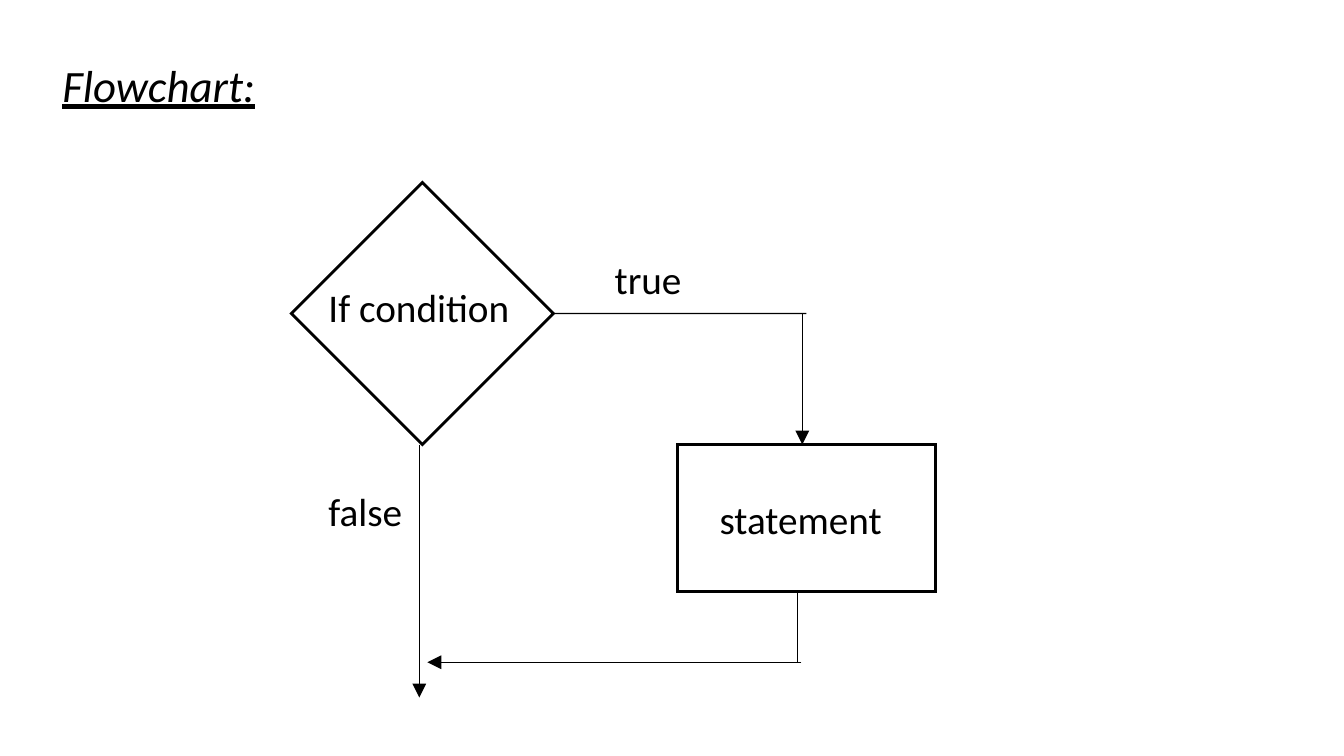
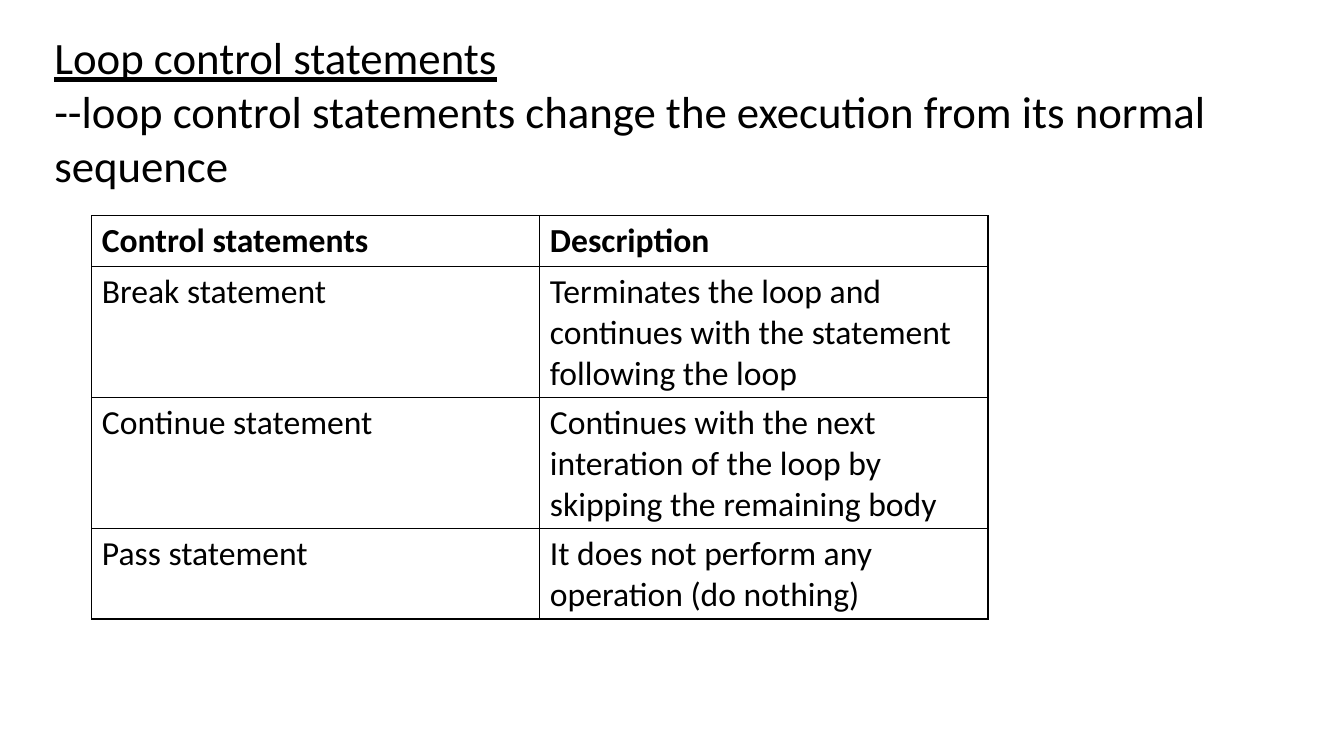
from dataclasses import dataclass
from typing import Any

from lxml import etree
from pptx import Presentation
from pptx import util as u
from pptx.dml.color import RGBColor
from pptx.enum import shapes, text
from pptx.oxml.ns import qn

SLIDE_WIDTH, SLIDE_HEIGHT = u.Inches(13.33), u.Inches(7.5)
FONT, INK = "Calibri", "000000"
TITLE: dict[str, Any] = {"size": u.Pt(32)}
LABEL: dict[str, Any] = {"size": u.Pt(28)}
CELL: dict[str, Any] = {"size": u.Pt(24)}


@dataclass(frozen=True)
class Box:
    """A frame on a grid of 100 columns by 100 rows over the slide."""
    left: float
    top: float
    width: float
    height: float

    def frame(self) -> tuple[int, int, int, int]:
        return (across(self.left), down(self.top),
                across(self.width), down(self.height))


@dataclass(frozen=True)
class Line:
    text: str
    format: dict[str, Any]


@dataclass(frozen=True)
class Label:
    text: str
    left: float
    top: float
    width: float = 14.4


@dataclass(frozen=True)
class Link:
    start: tuple[float, float]
    end: tuple[float, float]
    arrow: bool = False


CONDITION = Box(21.68, 24.13, 19.5, 34.67)
STATEMENT = Box(50.4, 58.8, 19.2, 19.47)
TRUE_ROW, BOX_ROW, RETURN_ROW = 41.47, 58.8, 87.6

TRUE_LINK = Link((41.18, TRUE_ROW), (60, TRUE_ROW))
LINKS = [
    Link((59.7, TRUE_ROW), (59.7, BOX_ROW), arrow=True),
    Link((31.2, BOX_ROW), (31.2, 92.27), arrow=True),
    Link((59.63, RETURN_ROW), (31.8, RETURN_ROW), arrow=True),
    Link((59.33, 78.27), (59.33, RETURN_ROW)),
]
LABELS = [
    Label("If condition", 23.7, 36.8, width=17.4),
    Label("statement", 52.8, 64.8),
    Label("true", 45, 33.07),
    Label("false", 23.7, 63.87),
]

TABLE_ROWS = [
    ("Control statements", "Description"),
    ("Break statement",
     "Terminates the loop and continues with the statement following the loop"),
    ("Continue statement",
     "Continues with the next interation of the loop by skipping the remaining body"),
    ("Pass statement", "It does not perform any operation (do nothing)"),
]
ROW_HEIGHTS = [6.67, 17.33, 17.33, 12]
TABLE = Box(6.83, 28.53, 66.68, sum(ROW_HEIGHTS))


def across(columns: float) -> int:
    return round(SLIDE_WIDTH * columns / 100)


def down(rows: float) -> int:
    return round(SLIDE_HEIGHT * rows / 100)


def color(code: str) -> RGBColor:
    return RGBColor.from_string(code)


def write(frame, lines: list[Line]) -> None:
    """Fill a text frame with one paragraph for each line."""
    for index, line in enumerate(lines):
        para = frame.add_paragraph() if index else frame.paragraphs[0]
        span = para.add_run()
        span.text = line.text
        for name, value in {"name": FONT, **line.format}.items():
            setattr(span.font, name, value)
        span.font.color.rgb = color(INK)


def add_text(page, box: Box, lines: list[Line]) -> None:
    frame = page.shapes.add_textbox(*box.frame()).text_frame
    frame.word_wrap = True
    frame.vertical_anchor = text.MSO_ANCHOR.TOP
    write(frame, lines)


def add_outline(page, kind: shapes.MSO_SHAPE, box: Box):
    shape = page.shapes.add_shape(kind, *box.frame())
    shape.shadow.inherit = False
    shape.fill.background()
    shape.line.color.rgb = color(INK)
    shape.line.width = u.Pt(2)
    stroke = shape._element.spPr.find(qn("a:ln"))
    etree.SubElement(stroke, qn("a:miter"), lim="800000")
    return shape


def add_link(page, link: Link):
    (x1, y1), (x2, y2) = link.start, link.end
    connector = page.shapes.add_connector(
        shapes.MSO_CONNECTOR.STRAIGHT, across(x1), down(y1), across(x2), down(y2))
    connector.line.color.rgb = color(INK)
    connector.line.width = u.Pt(1)
    properties = connector._element.spPr
    if link.arrow:
        etree.SubElement(properties.find(qn("a:ln")), qn("a:tailEnd"),
                         type="triangle", w="lg", len="lg")
    etree.SubElement(properties, qn("a:effectLst"))
    return connector


def add_borders(cell) -> None:
    properties = cell._tc.get_or_add_tcPr()
    for index, side in enumerate(("lnL", "lnR", "lnT", "lnB")):
        border = etree.Element(qn(f"a:{side}"), w=str(u.Pt(1)))
        fill = etree.SubElement(border, qn("a:solidFill"))
        etree.SubElement(fill, qn("a:srgbClr"), val=INK)
        properties.insert(index, border)


def add_table(page) -> None:
    table = page.shapes.add_table(
        len(TABLE_ROWS), len(TABLE_ROWS[0]), *TABLE.frame()).table
    table.first_row = table.horz_banding = False
    for r, (row, height) in enumerate(zip(TABLE_ROWS, ROW_HEIGHTS)):
        table.rows[r].height = down(height)
        for c, words in enumerate(row):
            cell = table.cell(r, c)
            cell.fill.background()
            add_borders(cell)
            write(cell.text_frame, [Line(words, {**CELL, "bold": r == 0})])


def build_flowchart(page) -> None:
    heading = Line("Flowchart:", {**TITLE, "italic": True, "underline": True})
    add_text(page, Box(3.9, 6.93, 24.23, 8.53), [heading])
    condition = add_outline(page, shapes.MSO_SHAPE.DIAMOND, CONDITION)
    add_outline(page, shapes.MSO_SHAPE.RECTANGLE, STATEMENT)
    add_link(page, TRUE_LINK).begin_connect(condition, 3)
    for link in LINKS:
        add_link(page, link)
    for label in LABELS:
        add_text(page, Box(label.left, label.top, label.width, 7.6),
                 [Line(label.text, LABEL)])


def build_loop_control(page) -> None:
    add_text(page, Box(3.3, 3.33, 91.95, 22.67), [
        Line("Loop control statements", {**TITLE, "underline": True}),
        Line("--loop control statements change the execution from its normal sequence",
             TITLE),
    ])
    add_table(page)


def main() -> None:
    deck = Presentation()
    deck.slide_width, deck.slide_height = SLIDE_WIDTH, SLIDE_HEIGHT
    for build in (build_flowchart, build_loop_control):
        build(deck.slides.add_slide(deck.slide_layouts[6]))
    deck.save("out.pptx")


if __name__ == "__main__":
    main()
